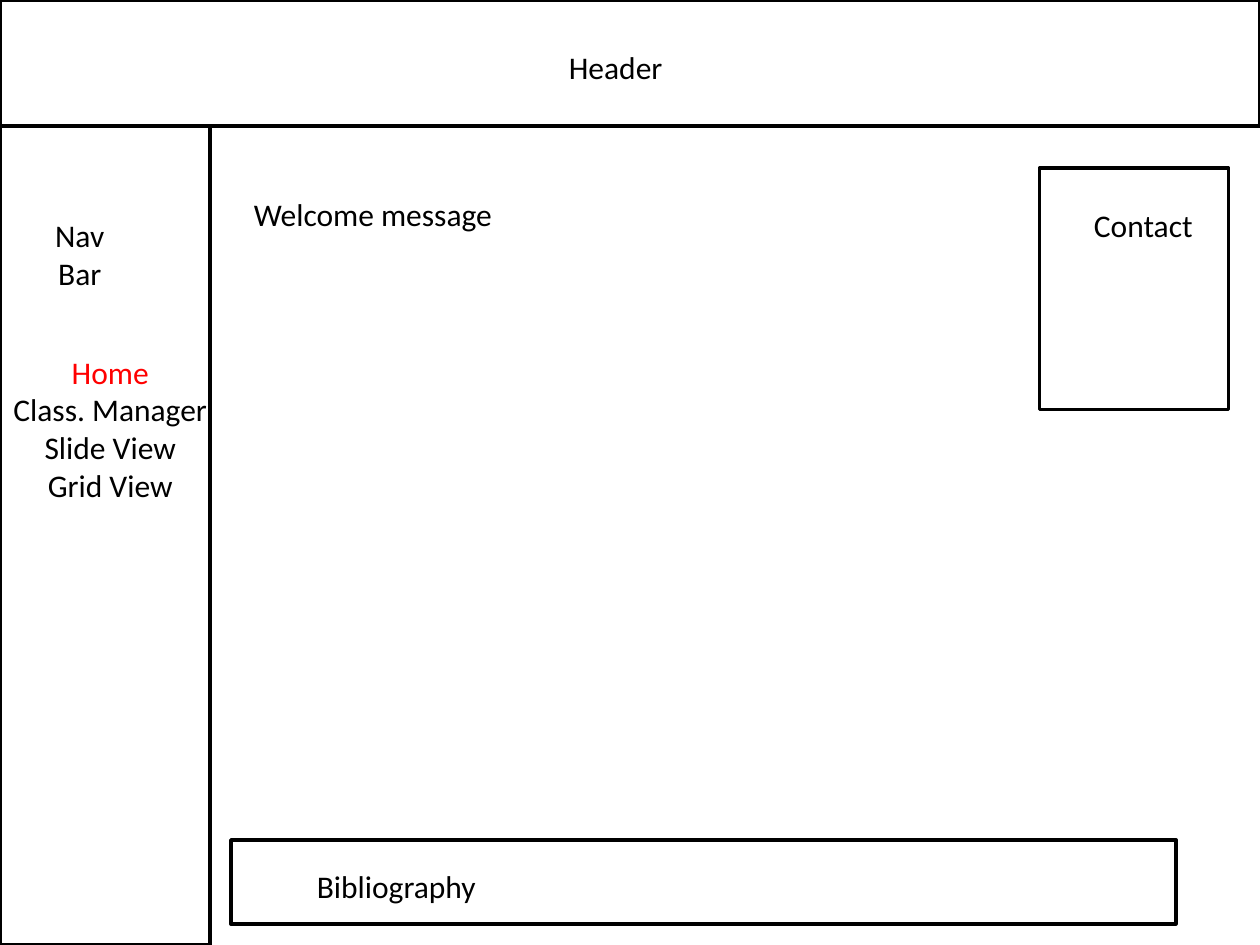
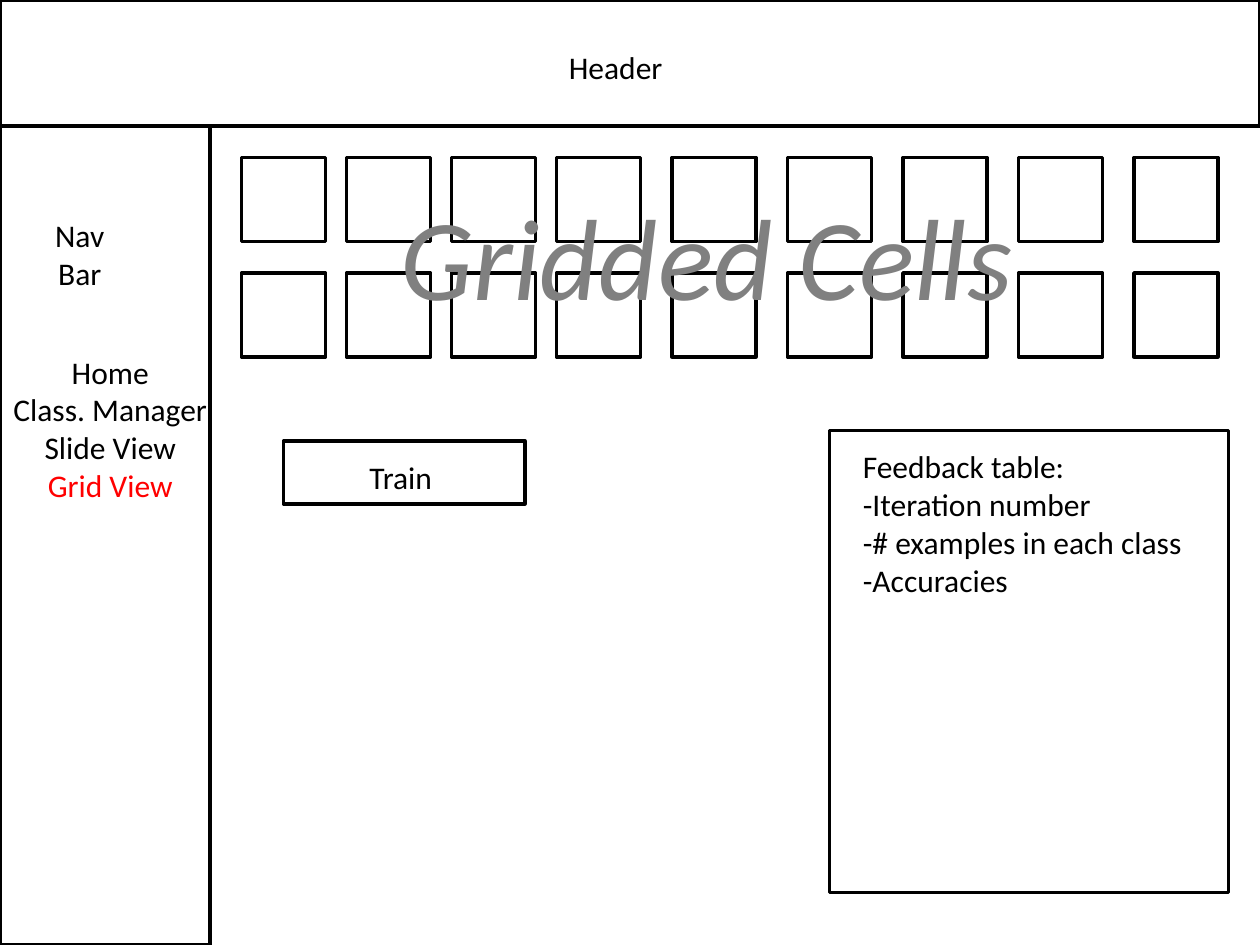
from dataclasses import dataclass
from typing import NamedTuple

from pptx import Presentation
from pptx.dml.color import RGBColor
from pptx.enum.shapes import MSO_SHAPE as Preset
from pptx.enum.text import MSO_ANCHOR as Anchor, MSO_AUTO_SIZE as AutoSize, PP_ALIGN as Align
from pptx.util import Pt


@dataclass(frozen=True)
class Theme:
    font: str = "Calibri"
    ink: RGBColor = RGBColor(0, 0, 0)
    active: RGBColor = RGBColor(255, 0, 0)
    overlay: RGBColor = RGBColor(128, 128, 128)
    paper: RGBColor = RGBColor(255, 255, 255)
    body_size: int = 18
    overlay_size: int = 66
    line_width: int = 2


class Box(NamedTuple):
    left: float
    top: float
    width: float
    height: float

    def inner(self, left, top, width, height):
        return Box(self.left + left, self.top + top, width, height)

    def in_points(self):
        return [Pt(length) for length in self]


THEME = Theme()
PAGE = Box(0, 0, 720, 540)
HEADER = Box(0, 0, 720, 72)
SIDEBAR = Box(0, 72, 120, 468)
CONTENT = Box(120, 72, 600, 468)
LINE_HEIGHT = 29
MENU = ["Home", "Class. Manager", "Slide View", "Grid View"]


def add_frame(page, box):
    frame = page.shapes.add_shape(Preset.RECTANGLE, *box.in_points())
    frame.shadow.inherit = False
    frame.fill.background()
    frame.line.color.rgb = THEME.ink
    frame.line.width = Pt(THEME.line_width)


def add_label(page, box, lines, align=Align.LEFT, size=THEME.body_size,
              color=THEME.ink, italic=False, active=None):
    text = page.shapes.add_textbox(*box.in_points()).text_frame
    text.word_wrap = False
    text.auto_size = AutoSize.SHAPE_TO_FIT_TEXT
    text.vertical_anchor = Anchor.TOP
    for index, line in enumerate(lines):
        para = text.paragraphs[0] if index == 0 else text.add_paragraph()
        para.alignment = align
        span = para.add_run()
        span.text = line
        span.font.name = THEME.font
        span.font.size = Pt(size)
        span.font.italic = italic
        span.font.color.rgb = THEME.active if line == active else color


def add_panel(page, box, label_box, lines):
    add_frame(page, box)
    add_label(page, box.inner(*label_box), lines)


def add_header(page, box):
    add_panel(page, box, (318, 24, 68.4, LINE_HEIGHT), ["Header"])


def add_sidebar(page, box, active):
    add_frame(page, box)
    add_label(page, box.inner(24, 48, 43.2, 51), ["Nav", "Bar"], Align.CENTER)
    add_label(page, box.inner(0, 126, 126, 94.5), MENU, Align.CENTER, active=active)


def add_cell_grid(page, box):
    cell, column_step, row_step = 48, 60, 66
    for row in range(2):
        for column in range(9):
            wider_gaps = 6 * max(0, column - 3)
            add_frame(page, box.inner(column * column_step + wider_gaps,
                                      row * row_step, cell, cell))
    add_label(page, box.inner(84, 12, 367.2, 87), ["Gridded Cells"],
              size=THEME.overlay_size, color=THEME.overlay, italic=True)


def add_home_content(page, box):
    add_label(page, box.inner(18, 36, 152, LINE_HEIGHT), ["Welcome message"])
    add_panel(page, box.inner(474, 24, 108, 138),
              (24, 18, 71.3, LINE_HEIGHT), ["Contact"])
    add_panel(page, box.inner(12, 408, 540, 48),
              (42, 12, 106.6, LINE_HEIGHT), ["Bibliography"])


def add_grid_content(page, box):
    add_cell_grid(page, box.inner(18, 18, 558, 114))
    add_panel(page, box.inner(42, 180, 138, 36),
              (42, 6, 50.4, LINE_HEIGHT), ["Train"])
    add_panel(page, box.inner(354, 174, 228, 264), (12, 6, 198.7, 94.5),
              ["Feedback table:", "-Iteration number",
               "-# examples in each class", "-Accuracies"])


def add_page(deck, active, add_content):
    blank_layout = deck.slide_layouts[6]
    page = deck.slides.add_slide(blank_layout)
    page.background.fill.solid()
    page.background.fill.fore_color.rgb = THEME.paper
    add_header(page, HEADER)
    add_sidebar(page, SIDEBAR, active)
    add_content(page, CONTENT)


def build_deck():
    deck = Presentation()
    deck.slide_width, deck.slide_height = Pt(PAGE.width), Pt(PAGE.height)
    add_page(deck, "Home", add_home_content)
    add_page(deck, "Grid View", add_grid_content)
    deck.save("out.pptx")


build_deck()
